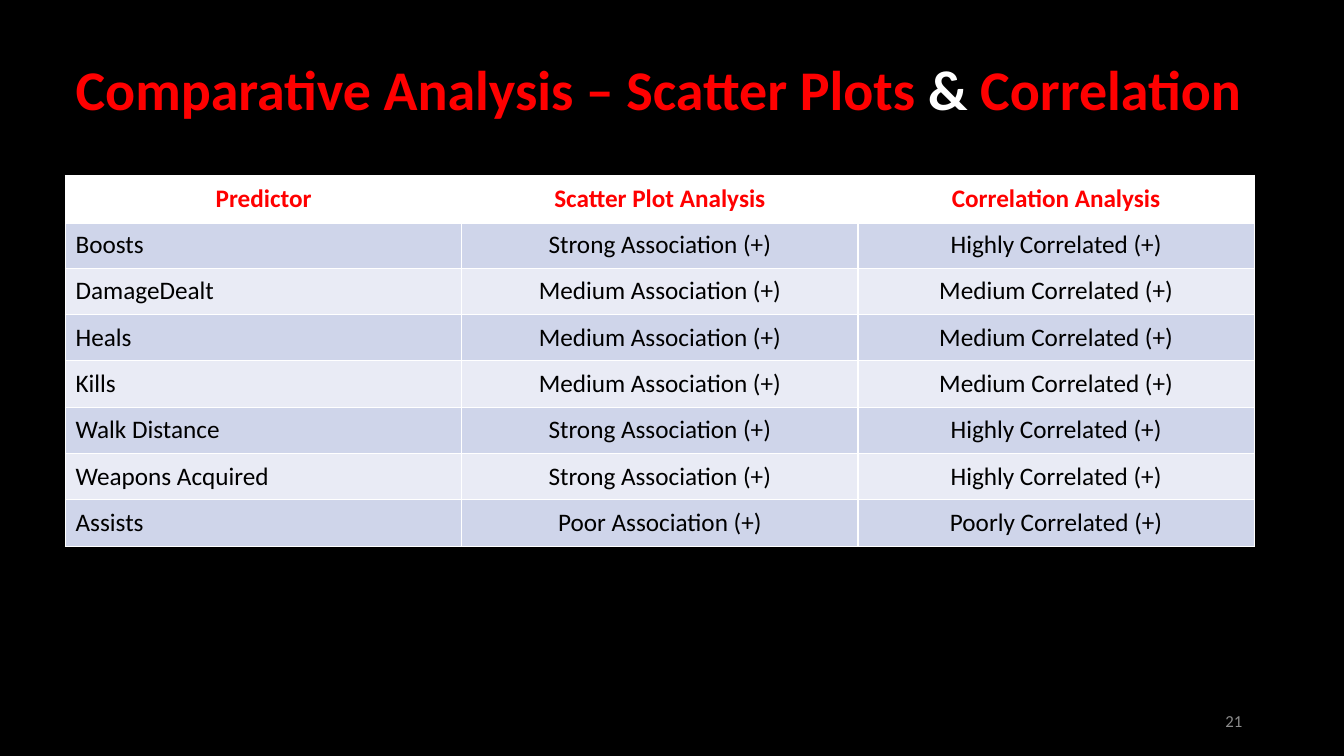
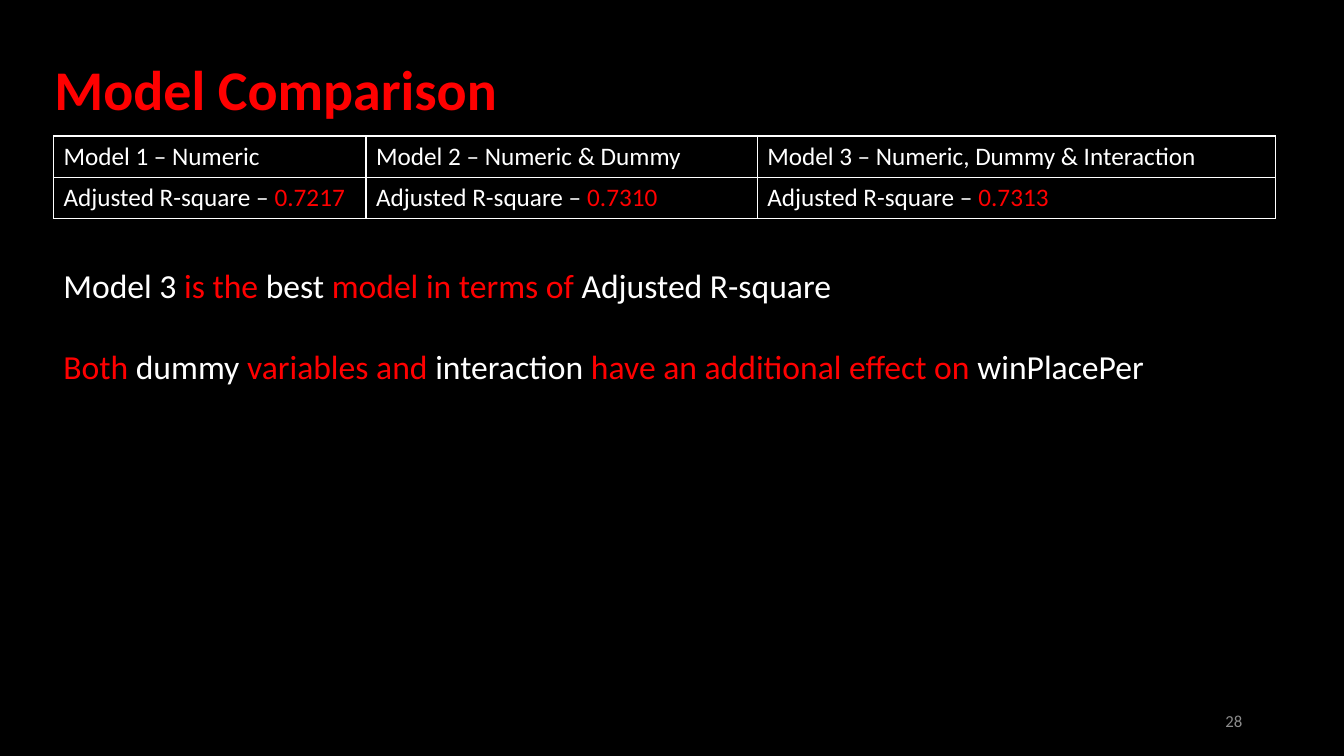
import pptx
import pptx.dml.color
import pptx.enum.text
import pptx.oxml
import pptx.oxml.ns
import pptx.util
from pptx.util import Inches

ALIGN = pptx.enum.text.PP_ALIGN
ANCHOR = pptx.enum.text.MSO_ANCHOR
RED, WHITE, BLACK, GREY = "FF0000", "FFFFFF", "000000", "8C8C8C"
BANDS = ("CFD5EA", "E9EBF5")


def rgb(value):
    """Turn a hex string into a colour."""
    return pptx.dml.color.RGBColor.from_string(value)


def write(frame, *paragraphs, size=18, color=WHITE, bold=False,
          align=ALIGN.LEFT, anchor=ANCHOR.TOP, gap=0):
    """Write paragraphs, each a string or a list of (text, colour) runs."""
    frame.vertical_anchor = anchor
    for index, content in enumerate(paragraphs):
        paragraph = frame.add_paragraph() if index else frame.paragraphs[0]
        paragraph.alignment = align
        if index:
            paragraph.space_before = pptx.util.Pt(gap)
        runs = [(content, color)] if isinstance(content, str) else content
        for text, run_color in runs:
            run = paragraph.add_run()
            run.text = text
            run.font.name = "Calibri"
            run.font.size = pptx.util.Pt(size)
            run.font.bold = bold
            run.font.color.rgb = rgb(run_color)


def draw_borders(cell, bottom=1):
    """Give a cell white borders, with the bottom width in points."""
    properties = cell._tc.get_or_add_tcPr()
    for side, width in (("L", 1), ("R", 1), ("T", 1), ("B", bottom)):
        properties.append(pptx.oxml.parse_xml(
            f'<a:ln{side} {pptx.oxml.ns.nsdecls("a")} w="{pptx.util.Pt(width)}">'
            f'<a:solidFill><a:srgbClr val="{WHITE}"/></a:solidFill></a:ln{side}>'))


class Deck:
    """Hold the shared style and the current slide."""

    def __init__(self):
        """Start an empty widescreen presentation."""
        self.file = pptx.Presentation()
        self.file.slide_width = Inches(13.33)
        self.file.slide_height = Inches(7.5)

    def start_slide(self, title, number, left):
        """Add a black slide with its title and page number."""
        self.slide = self.file.slides.add_slide(self.file.slide_layouts[5])
        background = self.slide.background.fill
        background.solid()
        background.fore_color.rgb = rgb(BLACK)
        heading = self.slide.shapes.title
        heading.left, heading.top = Inches(left), Inches(0.49)
        heading.width, heading.height = Inches(13.24 - left), Inches(0.77)
        heading.text_frame.auto_size = pptx.enum.text.MSO_AUTO_SIZE.NONE
        write(heading.text_frame, title, size=40, color=RED, bold=True)
        self.add_text(9.42, 6.95, 3, 0.4, str(number), size=12, color=GREY,
                      align=ALIGN.RIGHT, anchor=ANCHOR.MIDDLE)

    def add_text(self, left, top, width, height, *paragraphs, **style):
        """Add a wrapping text box."""
        box = self.slide.shapes.add_textbox(
            Inches(left), Inches(top), Inches(width), Inches(height))
        box.text_frame.word_wrap = True
        write(box.text_frame, *paragraphs, **style)

    def add_table(self, left, top, widths, row_height, rows):
        """Add an unstyled table and return its rows of cells."""
        table = self.slide.shapes.add_table(
            len(rows), len(widths), Inches(left), Inches(top),
            Inches(sum(widths)), Inches(row_height * len(rows))).table
        table.first_row = table.horz_banding = False
        for column, width in zip(table.columns, widths):
            column.width = Inches(width)
        for row in table.rows:
            row.height = Inches(row_height)
        return [list(row.cells) for row in table.rows]

    def add_banded_table(self, left, top, widths, row_height, rows):
        """Add a table with a red-on-white header and banded rows."""
        grid = self.add_table(left, top, widths, row_height, rows)
        for r, (cells, texts) in enumerate(zip(grid, rows)):
            header = r == 0
            for c, (cell, text) in enumerate(zip(cells, texts)):
                draw_borders(cell, bottom=3 if header else 1)
                cell.fill.solid()
                cell.fill.fore_color.rgb = rgb(WHITE if header else BANDS[(r - 1) % 2])
                write(cell.text_frame, text, color=RED if header else BLACK, bold=header,
                      align=ALIGN.CENTER if header or c else ALIGN.LEFT)
                cell.vertical_anchor = ANCHOR.MIDDLE

    def add_outlined_table(self, left, top, widths, row_height, rows):
        """Add a transparent table with white borders."""
        grid = self.add_table(left, top, widths, row_height, rows)
        for cells, texts in zip(grid, rows):
            for cell, text in zip(cells, texts):
                draw_borders(cell)
                cell.fill.background()
                write(cell.text_frame, text)


def main():
    """Build both slides."""
    deck = Deck()

    deck.start_slide([("Comparative Analysis – Scatter Plots ", RED), ("&", WHITE),
                      (" Correlation", RED)], 21, left=0.65)
    ratings = [("Boosts", "Strong", "Highly"), ("DamageDealt", "Medium", "Medium"),
               ("Heals", "Medium", "Medium"), ("Kills", "Medium", "Medium"),
               ("Walk Distance", "Strong", "Highly"),
               ("Weapons Acquired", "Strong", "Highly"), ("Assists", "Poor", "Poorly")]
    deck.add_banded_table(
        0.65, 1.74, [3.93] * 3, 0.46,
        [("Predictor", "Scatter Plot Analysis", "Correlation Analysis")]
        + [(predictor, f"{scatter} Association (+)", f"{correlation} Correlated (+)")
           for predictor, scatter, correlation in ratings])

    deck.start_slide("Model Comparison", 28, left=0.44)
    models = ("Model 1 – Numeric", "Model 2 – Numeric & Dummy",
              "Model 3 – Numeric, Dummy & Interaction")
    scores = [[("Adjusted R-square – ", WHITE), (score, RED)]
              for score in ("0.7217", "0.7310", "0.7313")]
    deck.add_outlined_table(0.53, 1.35, (3.1, 3.88, 5.14), 0.41, [models, scores])
    deck.add_text(
        0.53, 2.58, 12.12, 3.74,
        [("Model 3 ", WHITE), ("is the ", RED), ("best", WHITE),
         (" model in terms of ", RED), ("Adjusted R-square", WHITE)],
        [("Both ", RED), ("dummy", WHITE), (" variables and ", RED),
         ("interaction", WHITE), (" have an additional effect on ", RED),
         ("winPlacePer", WHITE)],
        size=24, gap=29)

    deck.file.save("out.pptx")


if __name__ == "__main__":
    main()
